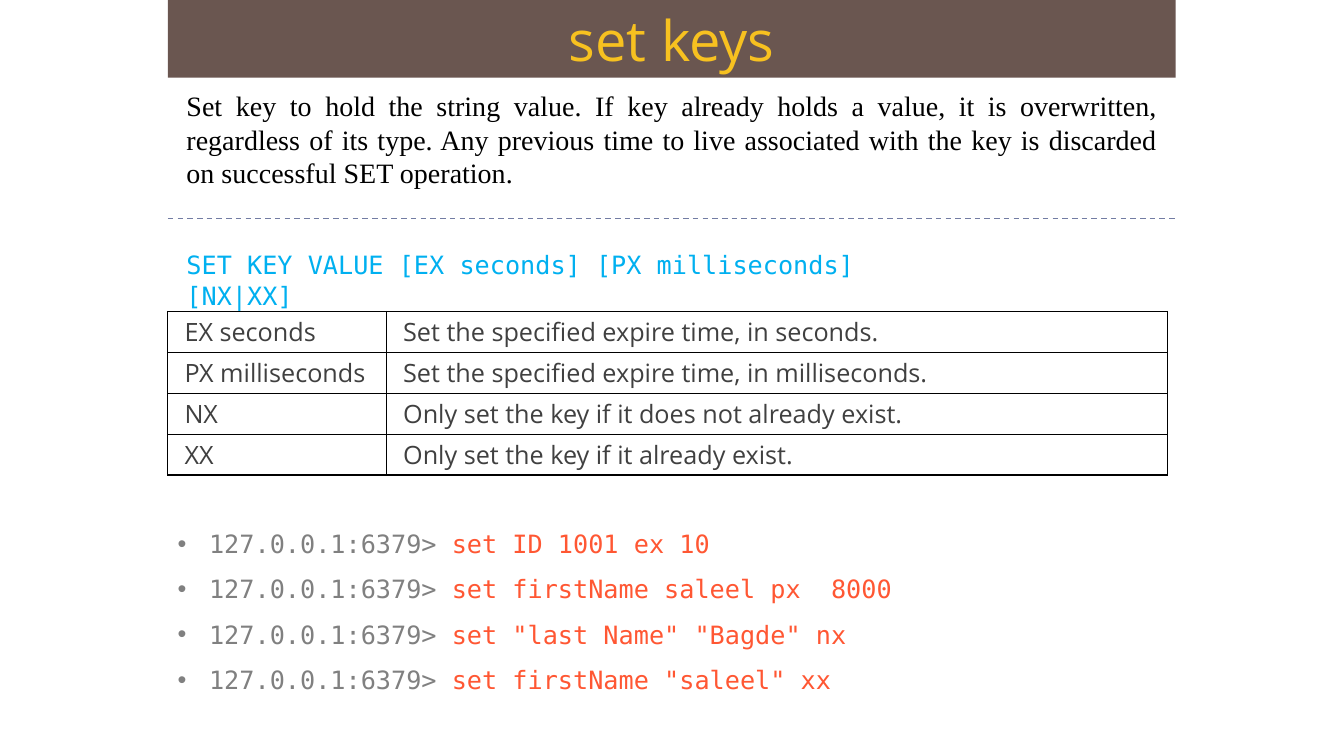
from lxml import etree
from pptx import Presentation
from pptx.dml.color import RGBColor
from pptx.enum import dml, shapes, text
from pptx.oxml import ns
from pptx.util import Cm, Pt

BROWN = RGBColor(0x6A, 0x56, 0x50)
GOLD = RGBColor(0xF7, 0xC1, 0x20)
SLATE = RGBColor(0x72, 0x7C, 0xA3)
BLUE = RGBColor(0x00, 0xB0, 0xF0)
GREY = RGBColor(0x80, 0x80, 0x80)
RED = RGBColor(0xFF, 0x57, 0x33)
DARK = RGBColor(0x40, 0x40, 0x40)
BLACK = RGBColor(0, 0, 0)
WHITE = RGBColor(255, 255, 255)
SANS, SERIF, MONO = "Open Sans", "Times New Roman", "DejaVu Sans Mono"
LEFT = Cm(4.23)


def write(words, para, face=MONO, size=18, color=BLACK, align=text.PP_ALIGN.LEFT):
    para.alignment = align
    run = para.add_run()
    run.text = words
    run.font.name = face
    run.font.size = Pt(size)
    run.font.color.rgb = color


def add(parent, tag, **attrs):
    node = etree.SubElement(parent, ns.qn(tag))
    for name, value in attrs.items():
        node.set(name, value)
    return node


deck = Presentation()
deck.slide_width, deck.slide_height = Cm(33.87), Cm(19.05)
slide = deck.slides.add_slide(deck.slide_layouts[6])
items = slide.shapes

# Dashed rule
rule = items.add_connector(shapes.MSO_CONNECTOR.STRAIGHT, LEFT, Cm(5.5), Cm(29.63), Cm(5.5))
rule.line.color.rgb = SLATE
rule.line.width = Pt(1)
rule.line.dash_style = dml.MSO_LINE.DASH
add(rule._element.spPr, "a:effectLst")

# Title band and white panel for the commands
frames = []
for top, width, height, fill in [(0, 25.4, 1.96, BROWN), (12.78, 24.69, 4.88, WHITE)]:
    box = items.add_shape(shapes.MSO_SHAPE.RECTANGLE, LEFT, Cm(top), Cm(width), Cm(height))
    box.shadow.inherit = False
    box.fill.solid()
    box.fill.fore_color.rgb = fill
    box.line.fill.background()
    box.text_frame.word_wrap = True
    box.text_frame.vertical_anchor = text.MSO_ANCHOR.MIDDLE
    frames.append(box.text_frame)
title, panel = frames
write("set keys", title.paragraphs[0], face=SANS, size=40, color=GOLD,
      align=text.PP_ALIGN.CENTER)

# Description and syntax
about = ("Set key to hold the string value. If key already holds a value, it is "
         "overwritten, regardless of its type. Any previous time to live associated "
         "with the key is discarded on successful SET operation.")
syntax = "SET KEY VALUE [EX seconds] [PX milliseconds] [NX|XX]"
for words, top, width, height, style in [
    (about, 2.11, 24.97, 2.82, dict(face=SERIF, size=20, align=text.PP_ALIGN.JUSTIFY)),
    (syntax, 6.17, 19.15, 1.02, dict(color=BLUE)),
]:
    frame = items.add_textbox(Cm(4.45), Cm(top), Cm(width), Cm(height)).text_frame
    frame.word_wrap = True
    write(words, frame.paragraphs[0], **style)

# Commands
for i, code in enumerate([
    "set ID 1001 ex 10",
    "set firstName saleel px  8000",
    'set "last Name" "Bagde" nx',
    'set firstName "saleel" xx',
]):
    para = panel.add_paragraph() if i else panel.paragraphs[0]
    para.line_spacing = 1.5
    props = para._p.get_or_add_pPr()
    props.set("marL", str(Cm(0.79)))
    props.set("indent", str(-Cm(0.79)))
    add(props, "a:buFont", typeface="Arial")
    add(props, "a:buChar", char="•")
    write("127.0.0.1:6379> ", para, color=GREY)
    write(code, para, color=RED)

# Options table
options = [
    ("EX seconds", "Set the specified expire time, in seconds."),
    ("PX milliseconds", "Set the specified expire time, in milliseconds."),
    ("NX", "Only set the key if it does not already exist."),
    ("XX", "Only set the key if it already exist."),
]
grid = items.add_table(4, 2, LEFT, Cm(7.85), Cm(25.2), Cm(4.12)).table
grid.first_row = grid.horz_banding = False
for col, width in zip(grid.columns, (5.51, 19.69)):
    col.width = Cm(width)
for r, pair in enumerate(options):
    grid.rows[r].height = Cm(1.03)
    for c, words in enumerate(pair):
        cell = grid.cell(r, c)
        cell.margin_left = Cm(0.42)
        cell.margin_top = cell.margin_bottom = Cm(0.08)
        cell.vertical_anchor = text.MSO_ANCHOR.MIDDLE
        write(words, cell.text_frame.paragraphs[0], face=SANS, color=DARK)
        props = cell._tc.get_or_add_tcPr()
        for side in ("a:lnL", "a:lnR", "a:lnT", "a:lnB"):
            edge = add(props, side, w=str(Pt(1)))
            add(add(edge, "a:solidFill"), "a:srgbClr", val=str(BLACK))
        cell.fill.background()

deck.save("out.pptx")
